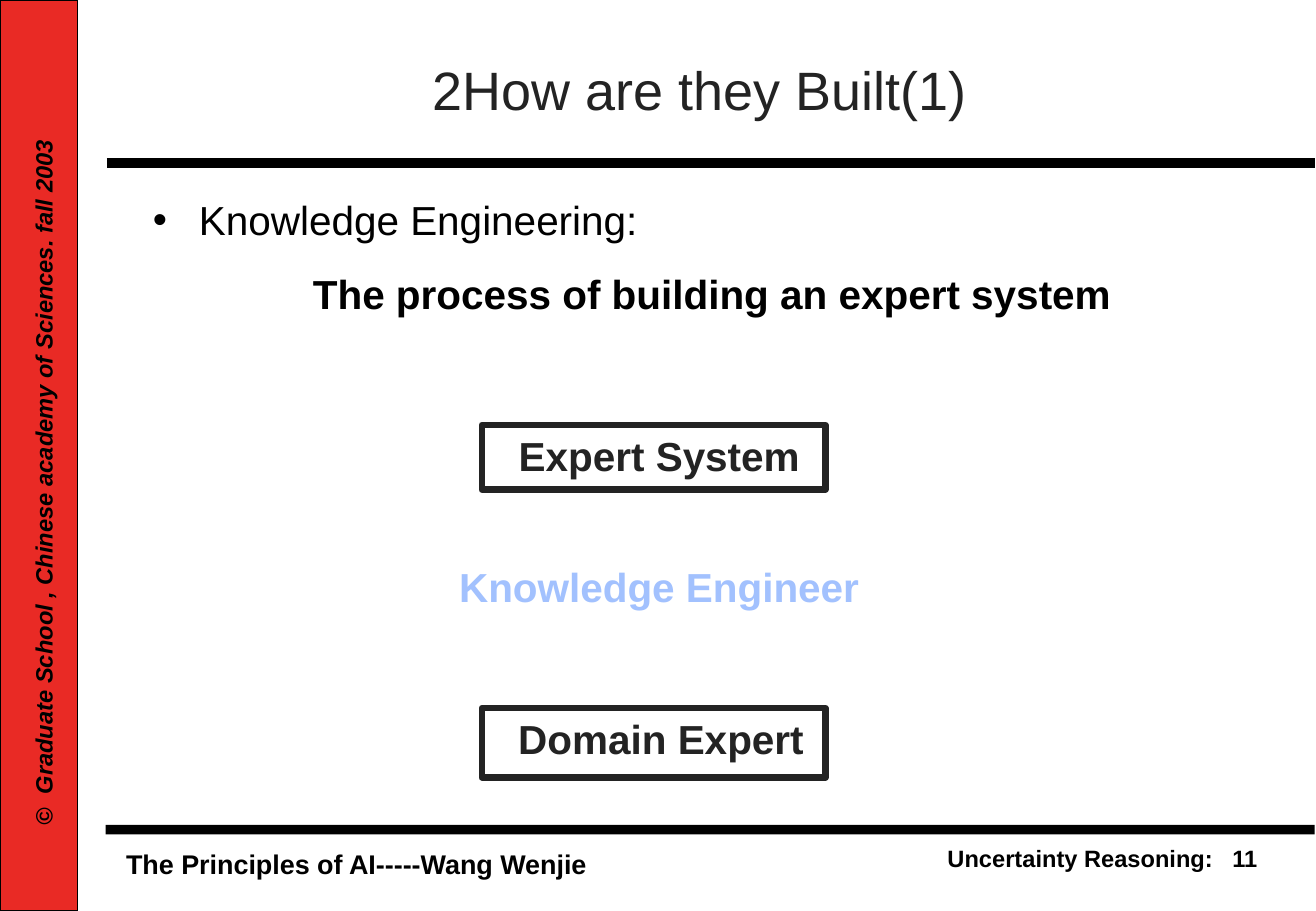
from pptx import Presentation
from pptx.dml.color import RGBColor
from pptx.enum.shapes import MSO_CONNECTOR, MSO_SHAPE
from pptx.enum.text import MSO_ANCHOR, PP_ALIGN
from pptx.oxml.ns import qn
from pptx.util import Pt
from lxml.etree import SubElement

PX = 9144  # 100 px to the inch
FONT = "Arial"
BLACK, DARK, RED, BLUE = "000000", "232323", "E92A25", "A2C1FE"
LEFT, CENTER, RIGHT = PP_ALIGN.LEFT, PP_ALIGN.CENTER, PP_ALIGN.RIGHT


def px(*lengths):
    return [n * PX for n in lengths]


def color(hex_string):
    return RGBColor.from_string(hex_string)


class Deck:
    def __init__(self, width, height):
        self.prs = Presentation()
        self.prs.slide_width, self.prs.slide_height = px(width, height)
        self.s = self.prs.slides.add_slide(self.prs.slide_layouts[5])

    def style(self, p, size, hex_string, bold=False, italic=False, align=LEFT):
        p.alignment = align
        for r in p.runs:
            f = r.font
            f.name, f.size, f.bold, f.italic = FONT, Pt(size), bold, italic
            f.color.rgb = color(hex_string)

    def title(self, text, box, size, hex_string):
        sp = self.s.shapes.title
        sp.left, sp.top, sp.width, sp.height = px(*box)
        sp.text_frame.text = text
        sp.text_frame.vertical_anchor = MSO_ANCHOR.MIDDLE
        self.style(sp.text_frame.paragraphs[0], size, hex_string, align=CENTER)

    def text(self, text, box, size, hex_string, wrap=False, rotation=0, **kw):
        sp = self.s.shapes.add_textbox(*px(*box))
        sp.rotation = rotation
        tf = sp.text_frame
        tf.word_wrap = wrap
        tf.text = text
        for p in tf.paragraphs:
            self.style(p, size, hex_string, **kw)
        return tf

    def bullet(self, p, indent):
        pPr = p._p.get_or_add_pPr()
        pPr.set("marL", str(indent * PX))
        pPr.set("indent", str(-indent * PX))
        SubElement(pPr, qn("a:buFont")).set("typeface", FONT)
        SubElement(pPr, qn("a:buChar")).set("char", "•")

    def rect(self, box, fill=None, line=None, weight=1):
        sp = self.s.shapes.add_shape(MSO_SHAPE.RECTANGLE, *px(*box))
        sp.shadow.inherit = False
        if fill:
            sp.fill.solid()
            sp.fill.fore_color.rgb = color(fill)
        else:
            sp.fill.background()
        if line:
            sp.line.color.rgb = color(line)
            sp.line.width = Pt(weight)
        else:
            sp.line.fill.background()

    def line(self, ends, hex_string, weight):
        cx = self.s.shapes.add_connector(MSO_CONNECTOR.STRAIGHT, *px(*ends))
        cx.line.color.rgb = color(hex_string)
        cx.line.width = Pt(weight)
        SubElement(cx._element.spPr, qn("a:effectLst"))


def main():
    d = Deck(1084, 750)

    # Frame: footer, side band and rules
    d.text("The Principles of AI-----Wang Wenjie", (94, 693, 402, 36),
           16, BLACK, bold=True)
    d.text("Uncertainty Reasoning:   11", (647, 690, 399, 33),
           14, BLACK, wrap=True, bold=True, align=RIGHT)
    d.rect((87, 679, 996, 8), fill=BLACK)
    d.rect((0, 0, 64, 750), fill=RED, line=BLACK)
    d.line((88, 134, 1083, 134), BLACK, 6)
    d.text("©  Graduate School , Chinese academy of Sciences. fall 2003",
           (-256, 380, 584, 34), 14, BLACK, rotation=270, bold=True, italic=True)

    # Title and definition
    d.title("2How are they Built(1)", (117, 22, 919, 103), 32, DARK)
    tf = d.text("Knowledge Engineering:\nThe process of building an expert system",
                (116, 156, 941, 504), 24, BLACK, wrap=True)
    for p in tf.paragraphs:
        p.space_before, p.space_after = Pt(9), Pt(6)
    heading, definition = tf.paragraphs
    d.bullet(heading, 38)
    d.style(definition, 24, BLACK, bold=True, align=CENTER)

    # Expert system, engineer and domain expert
    for label, top, width, height in (("Expert System", 350, 252, 53),
                                      ("Domain Expert", 583, 255, 57)):
        d.text(label, (417, top, width, 50), 24, DARK, bold=True, align=CENTER)
        d.rect((397, top, 283, height), line=DARK, weight=4)
    d.text("Knowledge Engineer", (368, 458, 350, 50), 24, BLUE,
           bold=True, align=CENTER)

    d.prs.save("out.pptx")


if __name__ == "__main__":
    main()
